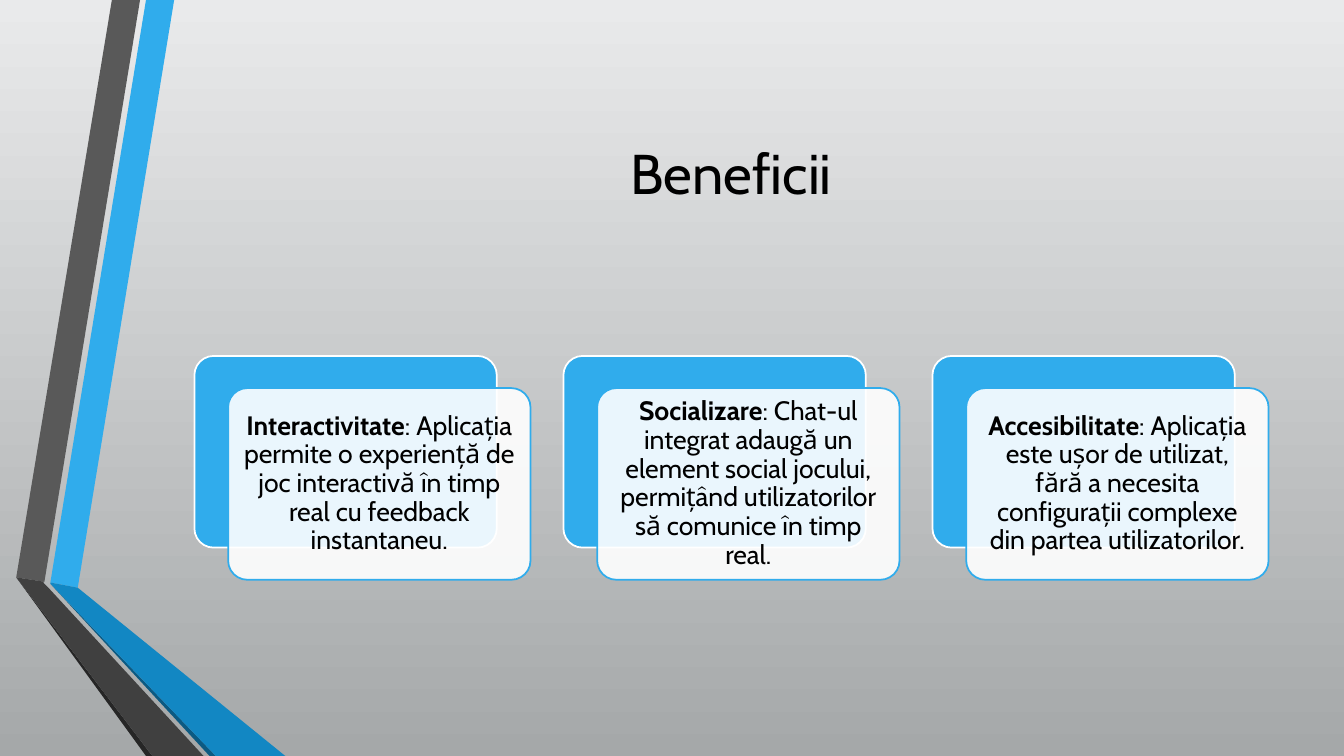
from dataclasses import dataclass

from lxml.etree import SubElement
from pptx import Presentation
from pptx.dml.color import RGBColor
from pptx.enum.shapes import MSO_SHAPE
from pptx.enum.text import MSO_ANCHOR, PP_ALIGN
from pptx.oxml.ns import qn
from pptx.shapes.autoshape import Shape
from pptx.slide import Slide
from pptx.text.text import Font
from pptx.util import Cm, Pt

FONT = "Cabin"
BLACK = RGBColor(0x00, 0x00, 0x00)
WHITE = RGBColor(0xFF, 0xFF, 0xFF)
BLUE = RGBColor(0x30, 0xAC, 0xEC)
MID_BLUE = RGBColor(0x12, 0x87, 0xC3)
DARK_BLUE = RGBColor(0x0C, 0x5A, 0x82)
GREY = RGBColor(0x59, 0x59, 0x59)
MID_GREY = RGBColor(0x40, 0x40, 0x40)
DARK_GREY = RGBColor(0x26, 0x26, 0x26)
SKY = RGBColor(0xE9, 0xEA, 0xEB)
GROUND = RGBColor(0xA5, 0xA8, 0xA9)

# Lengths below are centimetres.
LEFT, TOP, STEP = 4.9, 8.97, 9.3
WIDTH, HEIGHT = 7.62, 4.83
SHIFT_X, SHIFT_Y = 0.85, 0.81
INSET = 0.2


@dataclass
class Band:
    color: RGBColor
    points: list[tuple[float, float]]


@dataclass
class Card:
    head: str
    body: str


BANDS = [
    Band(BLUE, [(1.27, 14.68), (1.96, 14.81), (4.39, 0), (3.68, 0)]),
    Band(GREY, [(3.53, 0), (2.82, 0), (0.41, 14.55), (1.12, 14.66)]),
    Band(DARK_GREY, [(0.41, 14.55), (3.68, 19.05), (3.84, 19.05)]),
    Band(DARK_BLUE, [(1.27, 14.71), (5.28, 19.05), (5.44, 19.05)]),
    Band(MID_BLUE, [(1.27, 14.71), (5.44, 19.05), (7.19, 19.05),
                    (1.96, 14.81), (1.27, 14.68)]),
    Band(MID_GREY, [(5.13, 19.05), (1.22, 14.81), (1.09, 14.68),
                    (1.12, 14.66), (0.41, 14.55), (3.84, 19.05)]),
]

CARDS = [
    Card("Interactivitate", ": Aplicația permite o experiență de joc "
         "interactivă în timp real cu feedback instantaneu."),
    Card("Socializare", ": Chat-ul integrat adaugă un element social jocului, "
         "permițând utilizatorilor să comunice în timp real."),
    Card("Accesibilitate", ": Aplicația este ușor de utilizat, fără a necesita "
         "configurații complexe din partea utilizatorilor."),
]


def set_font(font: Font, size: float) -> None:
    font.name = FONT
    font.size = Pt(size)
    font.color.rgb = BLACK


def paint_back(slide: Slide) -> None:
    fill = slide.background.fill
    fill.gradient()
    fill.gradient_angle = 270
    for stop, color in zip(fill.gradient_stops, (SKY, GROUND)):
        stop.color.rgb = color


def draw_band(slide: Slide, band: Band) -> None:
    first, *rest = [(Cm(x), Cm(y)) for x, y in band.points]
    outline = slide.shapes.build_freeform(*first)
    outline.add_line_segments(rest, close=True)
    shape = outline.convert_to_shape()
    shape.shadow.inherit = False
    shape.fill.solid()
    shape.fill.fore_color.rgb = band.color
    shape.line.fill.background()


def draw_title(slide: Slide, text: str) -> None:
    title = slide.shapes.title
    title.left, title.top = Cm(LEFT), Cm(1.9)
    title.width, title.height = Cm(27.05), Cm(4.88)
    title.text_frame.text = text
    title.text_frame.vertical_anchor = MSO_ANCHOR.MIDDLE
    para = title.text_frame.paragraphs[0]
    para.alignment = PP_ALIGN.CENTER
    set_font(para.font, 40)


def add_panel(slide: Slide, left: float, top: float,
              fill: RGBColor, line: RGBColor) -> Shape:
    panel = slide.shapes.add_shape(MSO_SHAPE.ROUNDED_RECTANGLE, Cm(left),
                                   Cm(top), Cm(WIDTH), Cm(HEIGHT))
    panel.adjustments[0] = 0.1
    panel.shadow.inherit = False
    panel.fill.solid()
    panel.fill.fore_color.rgb = fill
    panel.line.color.rgb = line
    panel.line.width = Pt(1.25)
    return panel


def set_alpha(shape: Shape, percent: int) -> None:
    color = shape.element.xpath("p:spPr/a:solidFill/a:srgbClr")[0]
    SubElement(color, qn("a:alpha")).set("val", str(percent * 1000))


def draw_card(slide: Slide, card: Card, left: float) -> None:
    add_panel(slide, left, TOP, BLUE, WHITE)
    front = add_panel(slide, left + SHIFT_X, TOP + SHIFT_Y, WHITE, BLUE)
    set_alpha(front, 90)
    frame = front.text_frame
    frame.word_wrap = True
    frame.vertical_anchor = MSO_ANCHOR.MIDDLE
    frame.margin_left = frame.margin_right = Cm(INSET)
    frame.margin_top = frame.margin_bottom = Cm(INSET)
    para = frame.paragraphs[0]
    para.alignment = PP_ALIGN.CENTER
    para.line_spacing = 0.9
    set_font(para.font, 19)
    head = para.add_run()
    head.text = card.head
    head.font.bold = True
    para.add_run().text = card.body


def main() -> None:
    deck = Presentation()
    deck.slide_width, deck.slide_height = Cm(33.87), Cm(19.05)
    slide = deck.slides.add_slide(deck.slide_layouts.get_by_name("Title Only"))
    paint_back(slide)
    for band in BANDS:
        draw_band(slide, band)
    draw_title(slide, "Beneficii")
    for index, card in enumerate(CARDS):
        draw_card(slide, card, LEFT + index * STEP)
    deck.save("out.pptx")


if __name__ == "__main__":
    main()
